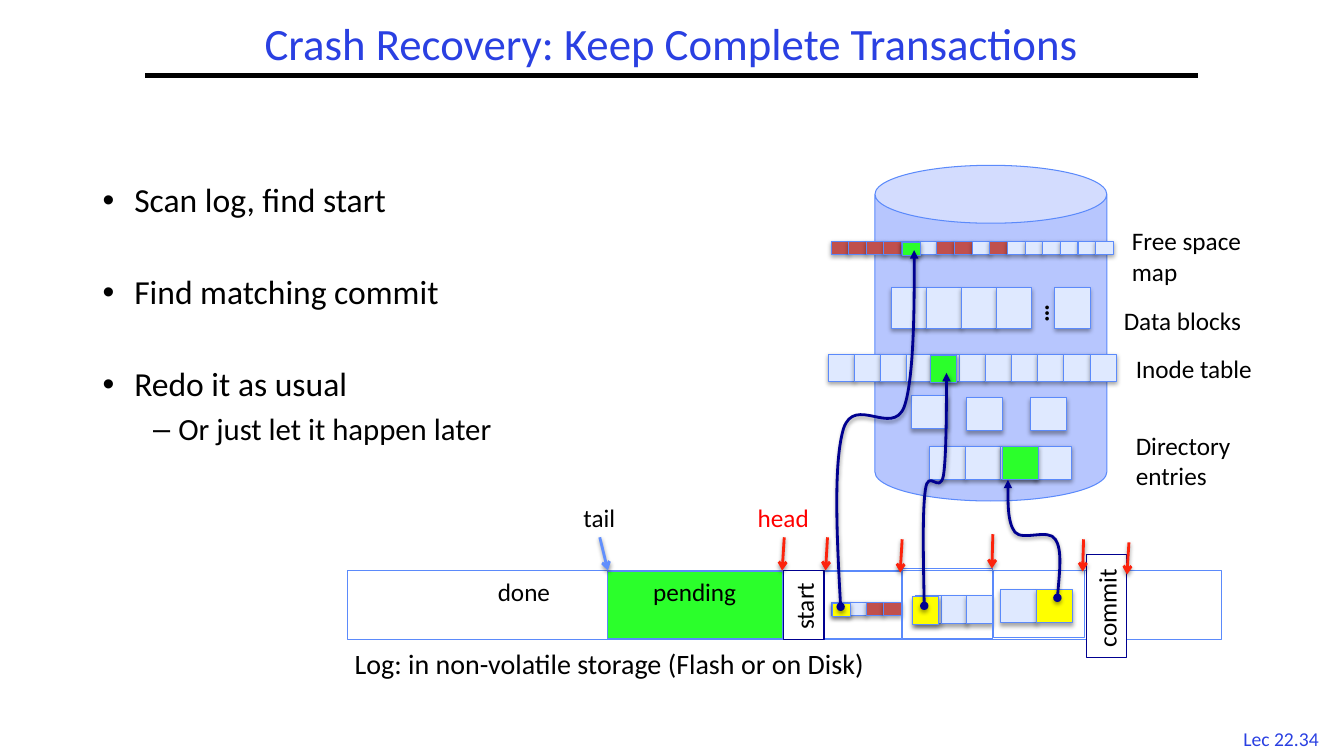
"""Builds the slide on crash recovery with a transaction log."""
from lxml import etree
from pptx import Presentation
from pptx.dml.color import RGBColor
from pptx.enum.shapes import MSO_CONNECTOR, MSO_SHAPE
from pptx.enum.text import MSO_ANCHOR, MSO_AUTO_SIZE, PP_ALIGN
from pptx.oxml.ns import qn
from pptx.util import Pt

FONT = "Calibri"
BLACK = RGBColor(0x00, 0x00, 0x00)
WHITE = RGBColor(0xFF, 0xFF, 0xFF)
TITLE_BLUE = RGBColor(0x2A, 0x40, 0xE2)
DISK_BLUE = RGBColor(0xB7, 0xC6, 0xFE)
EDGE_BLUE = RGBColor(0x5B, 0x8A, 0xFB)
TAIL_BLUE = RGBColor(0x61, 0x8F, 0xFD)
NAVY = RGBColor(0x00, 0x00, 0x90)
HEAD_RED = RGBColor(0xFF, 0x00, 0x00)
ARROW_RED = RGBColor(0xFC, 0x23, 0x0C)
GREEN = RGBColor(0x2B, 0xFF, 0x2B)
CELL_COLOURS = {
    "L": RGBColor(0xDF, 0xE9, 0xFF),
    "R": RGBColor(0xC0, 0x50, 0x4D),
    "G": GREEN,
    "Y": RGBColor(0xFF, 0xFF, 0x00),
}


def add_box(kind, left, top, width, height, fill=None):
    shape = slide.shapes.add_shape(kind, Pt(left), Pt(top), Pt(width), Pt(height))
    shape.shadow.inherit = False
    if fill is None:
        shape.fill.background()
    else:
        shape.fill.solid()
        shape.fill.fore_color.rgb = fill
    shape.line.color.rgb = EDGE_BLUE
    shape.line.width = Pt(0.75)
    return shape


def add_effects(shape, opacity, ends=()):
    properties = shape.element.spPr
    for end, kind in ends:
        etree.SubElement(properties.find(qn("a:ln")), qn(end), type=kind)
    effects = properties.find(qn("a:effectLst"))
    if effects is None:
        effects = etree.SubElement(properties, qn("a:effectLst"))
    if opacity:
        shadow = etree.SubElement(effects, qn("a:outerShdw"), blurRad=str(Pt(3.1)),
                                  dist=str(Pt(1.7)), dir="5400000", rotWithShape="0")
        colour = etree.SubElement(shadow, qn("a:srgbClr"), val="000000")
        etree.SubElement(colour, qn("a:alpha"), val=str(opacity * 1000))


presentation = Presentation()
presentation.slide_width, presentation.slide_height = Pt(960), Pt(540)
slide = presentation.slides.add_slide(presentation.slide_layouts[1])

title = slide.shapes.title
title.left, title.top, title.width, title.height = Pt(103.7), Pt(12.2), Pt(751.7), Pt(41.8)
title.text_frame.text = "Crash Recovery: Keep Complete Transactions"
title.text_frame.auto_size = MSO_AUTO_SIZE.NONE
title.text_frame.vertical_anchor = MSO_ANCHOR.MIDDLE
title_paragraph = title.text_frame.paragraphs[0]
title_paragraph.alignment = PP_ALIGN.CENTER
title_paragraph.line_spacing = 0.9
title_font = title_paragraph.runs[0].font
title_font.name, title_font.size, title_font.color.rgb = FONT, Pt(32), TITLE_BLUE

body = slide.placeholders[1]
body.left, body.top, body.width, body.height = Pt(66.2), Pt(127.4), Pt(539.3), Pt(239.8)
body.text_frame.auto_size = MSO_AUTO_SIZE.NONE
steps = [
    ("Scan log, find start", 0, 0),
    ("Find matching commit", 0, 40),
    ("Redo it as usual", 0, 40),
    ("Or just let it happen later", 1, 7),
]
body.text_frame.text = "\n".join(text for text, level, gap in steps)
level_styles = [(22.5, -22.5, "•", 24), (54, -18, "–", 22)]
for paragraph, (text, level, gap) in zip(body.text_frame.paragraphs, steps):
    margin, indent, bullet, size = level_styles[level]
    paragraph.level = level
    paragraph.line_spacing = 0.9
    paragraph.space_before = Pt(gap)
    paragraph_properties = paragraph._p.get_or_add_pPr()
    paragraph_properties.set("marL", str(Pt(margin)))
    paragraph_properties.set("indent", str(Pt(indent)))
    etree.SubElement(paragraph_properties, qn("a:buChar"), char=bullet)
    font = paragraph.runs[0].font
    font.name, font.size, font.color.rgb = FONT, Pt(size), BLACK

title_rule = slide.shapes.add_connector(MSO_CONNECTOR.STRAIGHT, Pt(103.7), Pt(54), Pt(856), Pt(54))
title_rule.line.color.rgb, title_rule.line.width = BLACK, Pt(3)
add_effects(title_rule, 0)

add_box(MSO_SHAPE.CAN, 625, 118.1, 165.6, 239.8, DISK_BLUE)
add_box(MSO_SHAPE.RECTANGLE, 248.4, 407.5, 624.2, 49)
add_box(MSO_SHAPE.RECTANGLE, 434.2, 408.2, 124.6, 48.2, GREEN)

cell_rows = [
    (593.6, 172.4, 12.9, 9.4, 12.6, "RRRRLLRRLRLLLLLL"),
    (644.8, 173.2, 12.9, 9.4, 0, "G"),
    (636.8, 205.6, 25.2, 28.8, 25, "LLLL"),
    (753.5, 205.6, 25.2, 28.8, 0, "L"),
    (591.5, 253.1, 18.7, 19.4, 18.72, "L" * 11),
    (664.9, 253.8, 18.7, 19.4, 0, "G"),
    (664.2, 318.6, 25.9, 23.8, 25.2, "LLLL"),
    (716, 318.6, 25.9, 23.8, 0, "G"),
    (651.2, 282.6, 25.9, 23.8, 0, "L"),
    (690.1, 284, 25.9, 23.8, 46.1, "LL"),
    (593.6, 430.2, 12.9, 9.4, 12.5, "LLRR"),
    (594.4, 430.9, 12.9, 9.4, 0, "Y"),
    (653.8, 425.5, 18.7, 20.2, 18.4, "LLL"),
    (651.6, 426.2, 18.7, 20.2, 0, "Y"),
    (714.6, 421.2, 25.9, 23.8, 25.9, "LY"),
]
for left, top, width, height, pitch, colours in cell_rows:
    for index, colour in enumerate(colours):
        cell = add_box(MSO_SHAPE.RECTANGLE, left + index * pitch, top, width, height,
                       CELL_COLOURS[colour])
        add_effects(cell, 35)

for left, top, width, height in [(589, 408.2, 54.7, 48.2), (644.4, 406.1, 64.8, 50.4),
                                 (709.9, 407.5, 64.8, 48.2)]:
    add_box(MSO_SHAPE.RECTANGLE, left, top, width, height)

labels = [
    ("Free space map", 801.4, 157.7, 101.5, 72.7, 18, BLACK, 0),
    ("Data blocks", 795.6, 214.6, 109.4, 28.8, 18, BLACK, 0),
    ("Inode table", 804.2, 249.1, 104.4, 28.8, 18, BLACK, 0),
    ("Directory\nentries", 804.2, 303.8, 87.1, 51.1, 18, BLACK, 0),
    ("…", 725.8, 206.6, 32.4, 28.8, 18, BLACK, 270),
    ("Log: in non-volatile storage (Flash or on Disk)", 246.2, 457.9, 421.9, 31.7, 20, BLACK, 0),
    ("head", 534.2, 355, 54.7, 28.8, 18, HEAD_RED, 0),
    ("tail", 409.7, 355, 37.4, 28.8, 18, BLACK, 0),
    ("pending", 459.4, 408.2, 79.2, 28.8, 18, BLACK, 0),
    ("done", 348.5, 408.2, 54.7, 28.8, 18, BLACK, 0),
    ("start", 549.4, 417.6, 49.7, 28.8, 18, BLACK, 270),
    ("commit", 753.8, 418.3, 73.4, 28.8, 18, BLACK, 270),
    ("Lec 22.34", 876.2, 515.5, 77.8, 23.8, 14, TITLE_BLUE, 0),
]
for text, left, top, width, height, size, colour, rotation in labels:
    label = slide.shapes.add_textbox(Pt(left), Pt(top), Pt(width), Pt(height))
    label.rotation = rotation
    label.text_frame.text = text
    label.text_frame.word_wrap = text == "Free space map"
    if text in ("start", "commit"):
        label.fill.solid()
        label.fill.fore_color.rgb = WHITE
        label.line.color.rgb, label.line.width = NAVY, Pt(0.75)
    for paragraph in label.text_frame.paragraphs:
        if text == "Lec 22.34":
            paragraph.alignment = PP_ALIGN.CENTER
        font = paragraph.runs[0].font
        font.name, font.size, font.color.rgb = FONT, Pt(size), colour
        font.bold = text == "…"

pointers = [
    (428.4, 383.8, 434.2, 407.5, TAIL_BLUE),
    (560.2, 383.8, 558.7, 407.5, ARROW_RED),
    (591.1, 383.8, 589.7, 407.5, ARROW_RED),
    (644.4, 385.2, 643, 409, ARROW_RED),
    (709.2, 381.6, 708.5, 406.1, ARROW_RED),
    (774, 385.2, 773.3, 408.2, ARROW_RED),
    (806.4, 387.4, 805, 410.4, ARROW_RED),
]
for start_x, start_y, end_x, end_y, colour in pointers:
    pointer = slide.shapes.add_connector(MSO_CONNECTOR.STRAIGHT, Pt(start_x), Pt(start_y),
                                         Pt(end_x), Pt(end_y))
    pointer.line.color.rgb, pointer.line.width = colour, Pt(2)
    add_effects(pointer, 38, [("a:tailEnd", "arrow")])

redo_curves = [
    [(600.5, 433.4), (597.6, 381.6), (595.4, 329.8), (602.6, 306), (610.6, 282.2),
     (637.2, 311.8), (645.8, 290.9), (653.8, 269.3), (653, 178.6), (653, 178.6)],
    [(660.2, 432.7), (659.5, 398.9), (658.8, 365), (661, 349.9), (663.1, 334.1),
     (671, 353.5), (673.9, 339.8), (676.1, 326.2), (676.1, 266.4), (676.1, 266.4)],
    [(755.3, 427), (756.7, 409.7), (758.9, 392.4), (753.8, 385.2), (748.8, 377.3),
     (730.8, 386.6), (725, 380.2), (719.3, 373), (720, 342.7), (720, 342.7)],
]
for points in redo_curves:
    anchors = [(Pt(x), Pt(y)) for x, y in points[::3]]
    builder = slide.shapes.build_freeform(*anchors[0])
    builder.add_line_segments(anchors[1:], close=False)
    curve = builder.convert_to_shape()
    segments = list(curve.element.iter(qn("a:lnTo")))
    for index, segment in enumerate(segments):
        bezier = etree.Element(qn("a:cubicBezTo"))
        for x, y in points[3 * index + 1:3 * index + 4]:
            etree.SubElement(bezier, qn("a:pt"), x=str(Pt(x) - curve.left), y=str(Pt(y) - curve.top))
        segment.getparent().replace(segment, bezier)
    curve.fill.background()
    curve.line.color.rgb, curve.line.width = NAVY, Pt(2)
    add_effects(curve, 38, [("a:headEnd", "oval"), ("a:tailEnd", "triangle")])

presentation.save("out.pptx")
